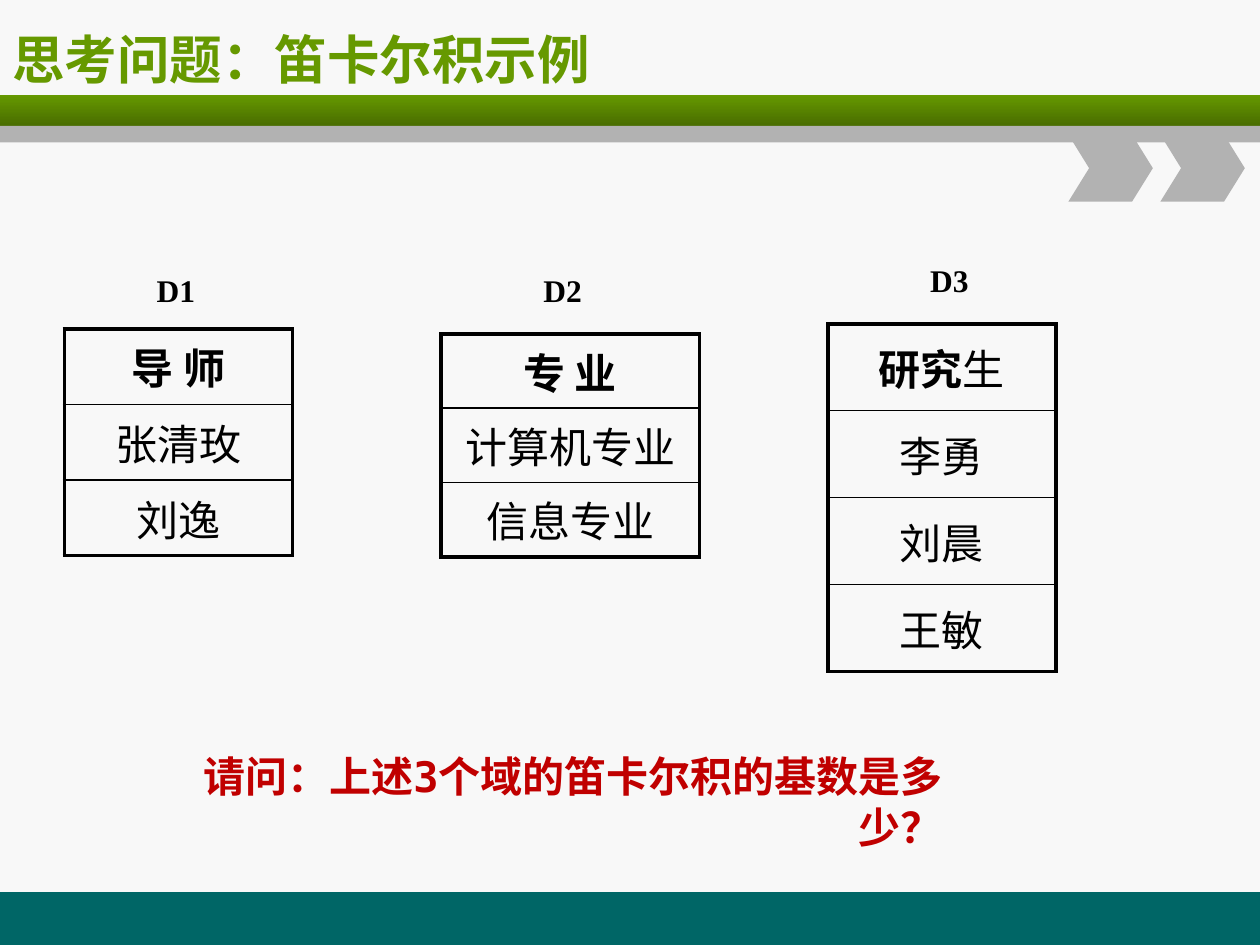
from lxml.etree import SubElement
from pptx import Presentation
from pptx.dml.color import RGBColor
from pptx.enum.shapes import MSO_SHAPE
from pptx.enum.text import MSO_ANCHOR, PP_ALIGN
from pptx.oxml.ns import qn
from pptx.util import Inches, Pt

COLORS = {
    "background": "F8F8F8", "footer": "006666", "green": "669900",
    "dark_green": "496D00", "gray": "B2B2B2", "black": "000000", "red": "C00000",
}
TITLE = "思考问题：笛卡尔积示例"
QUESTION = "请问：上述3个域的笛卡尔积的基数是多少？"

# Each row is a list of (text, bold) spans.
DOMAINS = [
    {"name": "D1", "label": (1.14, 2.1), "table": (0.51, 2.61, 1.81), "row_height": 0.6,
     "rows": [[("导 师", True)], [("张清玫", False)], [("刘逸", False)]]},
    {"name": "D2", "label": (4.21, 2.1), "table": (3.5, 2.65, 2.05), "row_height": 0.59,
     "rows": [[("专 业", True)], [("计算机专业", False)], [("信息专业", False)]]},
    {"name": "D3", "label": (7.28, 2.02), "table": (6.57, 2.57, 1.81), "row_height": 0.69,
     "rows": [[("研究", True), ("生", False)], [("李勇", False)],
              [("刘晨", False)], [("王敏", False)]]},
]
OUTER_LINE, INNER_LINE = 2.25, 1


def color(name):
    return RGBColor.from_string(COLORS[name])


def add_span(para, text, *, size, font, fill="black", bold=True):
    span = para.add_run()
    span.text = text
    span.font.size = Pt(size)
    span.font.name = font
    span.font.bold = bold
    span.font.color.rgb = color(fill)


def add_text(page, text, left, top, width, height, *, align=PP_ALIGN.LEFT,
             anchor=MSO_ANCHOR.TOP, wrap=True, **style):
    box = page.shapes.add_textbox(*map(Inches, (left, top, width, height)))
    box.text_frame.word_wrap = wrap
    box.text_frame.vertical_anchor = anchor
    para = box.text_frame.paragraphs[0]
    para.alignment = align
    add_span(para, text, **style)


def add_block(page, kind, left, top, width, height, fill):
    block = page.shapes.add_shape(kind, *map(Inches, (left, top, width, height)))
    block.shadow.inherit = False
    block.line.fill.background()
    block.fill.solid()
    block.fill.fore_color.rgb = color(fill)
    return block


def set_borders(cell, widths):
    """Draw the cell's sides; widths maps lnL, lnR, lnT and lnB to points."""
    properties = cell._tc.get_or_add_tcPr()
    for position, (side, width) in enumerate(widths.items()):
        line = properties.makeelement(qn(f"a:{side}"), {"w": str(Pt(width))})
        fill = SubElement(line, qn("a:solidFill"))
        SubElement(fill, qn("a:srgbClr"), val=COLORS["black"])
        properties.insert(position, line)


def add_domain_table(page, domain):
    left, top, width = domain["table"]
    rows, row_height = domain["rows"], domain["row_height"]
    frame = page.shapes.add_table(len(rows), 1, Inches(left), Inches(top),
                                  Inches(width), Inches(row_height * len(rows)))
    table = frame.table
    table.first_row = table.horz_banding = False
    last = len(rows) - 1
    for index, spans in enumerate(rows):
        table.rows[index].height = Inches(row_height)
        cell = table.cell(index, 0)
        cell.fill.background()
        cell.vertical_anchor = MSO_ANCHOR.MIDDLE
        para = cell.text_frame.paragraphs[0]
        para.alignment = PP_ALIGN.CENTER
        for text, bold in spans:
            add_span(para, text, size=24, font="Arial", bold=bold)
        set_borders(cell, {
            "lnL": OUTER_LINE, "lnR": OUTER_LINE,
            "lnT": OUTER_LINE if index == 0 else INNER_LINE,
            "lnB": OUTER_LINE if index == last else INNER_LINE,
        })


def add_decoration(page):
    add_block(page, MSO_SHAPE.RECTANGLE, 0, 7.08, 10, 0.42, "footer")
    band = add_block(page, MSO_SHAPE.RECTANGLE, 0, 0.75, 10, 0.25, "green")
    band.fill.gradient()
    band.fill.gradient_angle = 270
    for stop, name, position in zip(band.fill.gradient_stops, ("green", "dark_green"), (0, 1)):
        stop.color.rgb = color(name)
        stop.position = position
    add_block(page, MSO_SHAPE.RECTANGLE, 0, 1, 10, 0.13, "gray")
    for left in (8.48, 9.21):
        chevron = add_block(page, MSO_SHAPE.CHEVRON, left, 1.07, 0.67, 0.53, "gray")
        chevron.adjustments[0] = 0.31


def main():
    deck = Presentation()
    deck.slide_width, deck.slide_height = Inches(10), Inches(7.5)
    page = deck.slides.add_slide(deck.slide_layouts[6])
    page.background.fill.solid()
    page.background.fill.fore_color.rgb = color("background")

    add_decoration(page)
    add_text(page, TITLE, 0, 0.17, 8.5, 0.59, anchor=MSO_ANCHOR.MIDDLE,
             size=30, font="DejaVu Sans", fill="green")
    for domain in DOMAINS:
        add_domain_table(page, domain)
        add_text(page, domain["name"], *domain["label"], 0.51, 0.4, wrap=False,
                 align=PP_ALIGN.CENTER, size=18, font="Times New Roman")
    add_text(page, QUESTION, 1.3, 5.91, 6.28, 0.88, align=PP_ALIGN.RIGHT,
             size=24, font="DejaVu Sans Mono", fill="red")
    deck.save("out.pptx")


if __name__ == "__main__":
    main()
